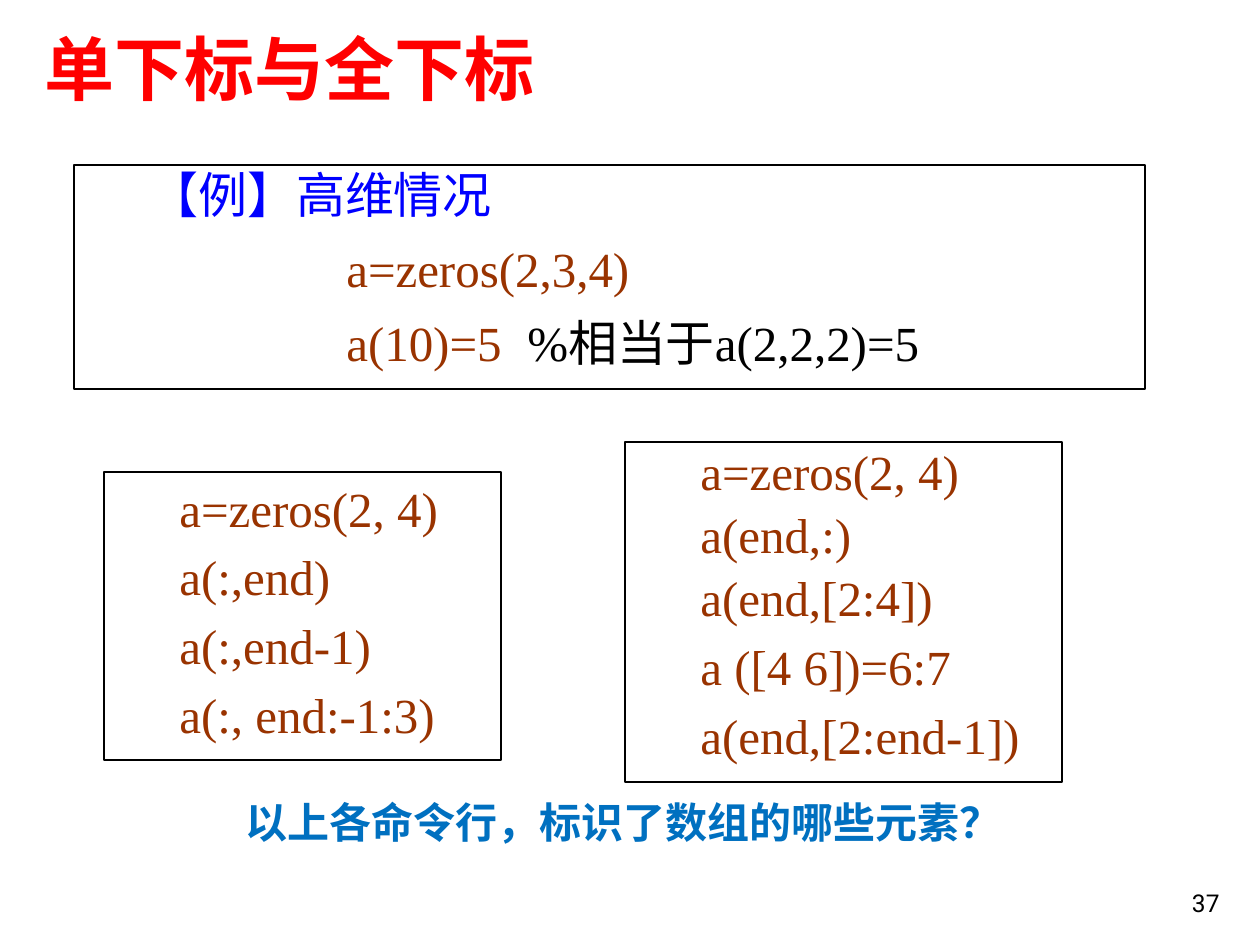
from dataclasses import dataclass

from lxml.etree import SubElement
from pptx import Presentation
from pptx.dml.color import RGBColor
from pptx.enum.shapes import MSO_SHAPE as Shape
from pptx.enum.text import MSO_ANCHOR as Anchor, MSO_AUTO_SIZE as AutoSize, PP_ALIGN as Align
from pptx.oxml.ns import qn
from pptx.util import Emu, Pt

PX_PER_INCH = 126


@dataclass(frozen=True)
class Theme:
    title: str = "FF0000"
    heading: str = "0000FF"
    code: str = "993300"
    text: str = "000000"
    question: str = "0070C0"
    sans: str = "Arial"
    serif: str = "Times New Roman"
    number: str = "Roboto"
    title_pt: int = 40
    code_pt: int = 28
    question_pt: int = 24
    number_pt: int = 14


THEME = Theme()


@dataclass(frozen=True)
class Line:
    """One paragraph: (text, colour) runs; no before_pt means 20% of a line."""
    runs: tuple[tuple[str, str], ...]
    margin: int
    indent: int
    spacing: float = 1.0
    before_pt: int | None = None
    tab: int | None = None


@dataclass(frozen=True)
class CodeBox:
    at: tuple[int, int, int, int]
    lines: tuple[Line, ...]


def px(n: int) -> Emu:
    return Emu(round(n * 914400 / PX_PER_INCH))


def place(sp, at: tuple[int, int, int, int]) -> None:
    for name, n in zip(("left", "top", "width", "height"), at):
        setattr(sp, name, px(n))


def set_attrs(obj, values: dict) -> None:
    for name, value in values.items():
        setattr(obj, name, value)


def add_run(p, text: str, color: str, font: dict) -> None:
    r = p.add_run()
    r.text = text
    set_attrs(r.font, font)
    r.font.color.rgb = RGBColor.from_string(color)


def format_line(p, line: Line) -> None:
    """Apply spacing, indents and the tab stop, in the order the schema asks for."""
    set_attrs(p, {"alignment": Align.LEFT, "line_spacing": line.spacing,
                  "space_before": Pt(line.before_pt or 0)})
    pPr = p._p.get_or_add_pPr()
    pPr.set("marL", str(px(line.margin)))
    pPr.set("indent", str(px(line.indent)))
    if line.before_pt is None:
        before = pPr.find(qn("a:spcBef"))
        before.remove(before[0])
        SubElement(before, qn("a:spcPct")).set("val", "20000")
    if line.tab:
        stops = SubElement(pPr, qn("a:tabLst"))
        stop = SubElement(stops, qn("a:tab"))
        stop.set("pos", str(px(line.tab)))
        stop.set("algn", "l")


def add_code_box(s, box: CodeBox) -> None:
    sp = s.shapes.add_shape(Shape.RECTANGLE, *map(px, box.at))
    sp.shadow.inherit = False
    sp.fill.background()
    sp.line.color.rgb = RGBColor.from_string(THEME.text)
    sp.line.width = Pt(0.75)
    tf = sp.text_frame
    set_attrs(tf, {"word_wrap": True, "vertical_anchor": Anchor.TOP})
    font = {"name": THEME.serif, "size": Pt(THEME.code_pt)}
    for i, line in enumerate(box.lines):
        p = tf.add_paragraph() if i else tf.paragraphs[0]
        format_line(p, line)
        for text, color in line.runs:
            add_run(p, text, color, font)


def write_label(sp, text: str, color: str, font: dict, frame: dict,
                align: Align = Align.LEFT) -> None:
    set_attrs(sp.text_frame, frame)
    p = sp.text_frame.paragraphs[0]
    p.alignment = align
    add_run(p, text, color, font)


def code_lines(texts: tuple[str, ...], margin: int, indent: int,
               tight: int = 0) -> tuple[Line, ...]:
    """Plain code lines, the first `tight` of them at 90% line spacing."""
    return tuple(Line(((text, THEME.code),), margin, indent, 0.9 if i < tight else 1.0)
                 for i, text in enumerate(texts))


COLUMN_CODE = ("a=zeros(2, 4)", "a(:,end)", "a(:,end-1)", "a(:, end:-1:3)")
ROW_CODE = ("a=zeros(2, 4)", "a(end,:)", "a(end,[2:4])", "a ([4 6])=6:7",
            "a(end,[2:end-1])")
EXAMPLE = (
    Line((("【例】高维情况", THEME.heading),), 136, -73, 0.9),
    Line((("a=zeros(2,3,4)", THEME.code),), 0, 260, 0.9, 12),
    Line((("a(10)=5\t", THEME.code), ("%相当于a(2,2,2)=5", THEME.text)),
         0, 260, 0.9, 12, tab=465),
)
BOXES = (
    CodeBox((104, 472, 397, 288), code_lines(COLUMN_CODE, 102, -39)),
    CodeBox((625, 442, 437, 340), code_lines(ROW_CODE, 136, -73, tight=3)),
    CodeBox((74, 165, 1071, 224), EXAMPLE),
)


def main() -> None:
    prs = Presentation()
    prs.slide_width, prs.slide_height = px(1260), px(945)
    s = prs.slides.add_slide(prs.slide_layouts[5])

    title = s.shapes.title
    place(title, (32, 0, 1244, 116))
    write_label(title, "单下标与全下标", THEME.title,
                {"name": THEME.sans, "size": Pt(THEME.title_pt), "bold": True},
                {"vertical_anchor": Anchor.BOTTOM, "auto_size": AutoSize.NONE})

    for box in BOXES:
        add_code_box(s, box)

    question = s.shapes.add_textbox(*map(px, (233, 790, 784, 63)))
    write_label(question, "以上各命令行，标识了数组的哪些元素？", THEME.question,
                {"name": THEME.sans, "size": Pt(THEME.question_pt), "bold": True},
                {"word_wrap": False, "auto_size": AutoSize.SHAPE_TO_FIT_TEXT})

    number = s.shapes.add_textbox(*map(px, (970, 861, 262, 63)))
    write_label(number, "37", THEME.text,
                {"name": THEME.number, "size": Pt(THEME.number_pt)},
                {"word_wrap": True, "vertical_anchor": Anchor.BOTTOM}, Align.RIGHT)

    prs.save("out.pptx")


if __name__ == "__main__":
    main()
